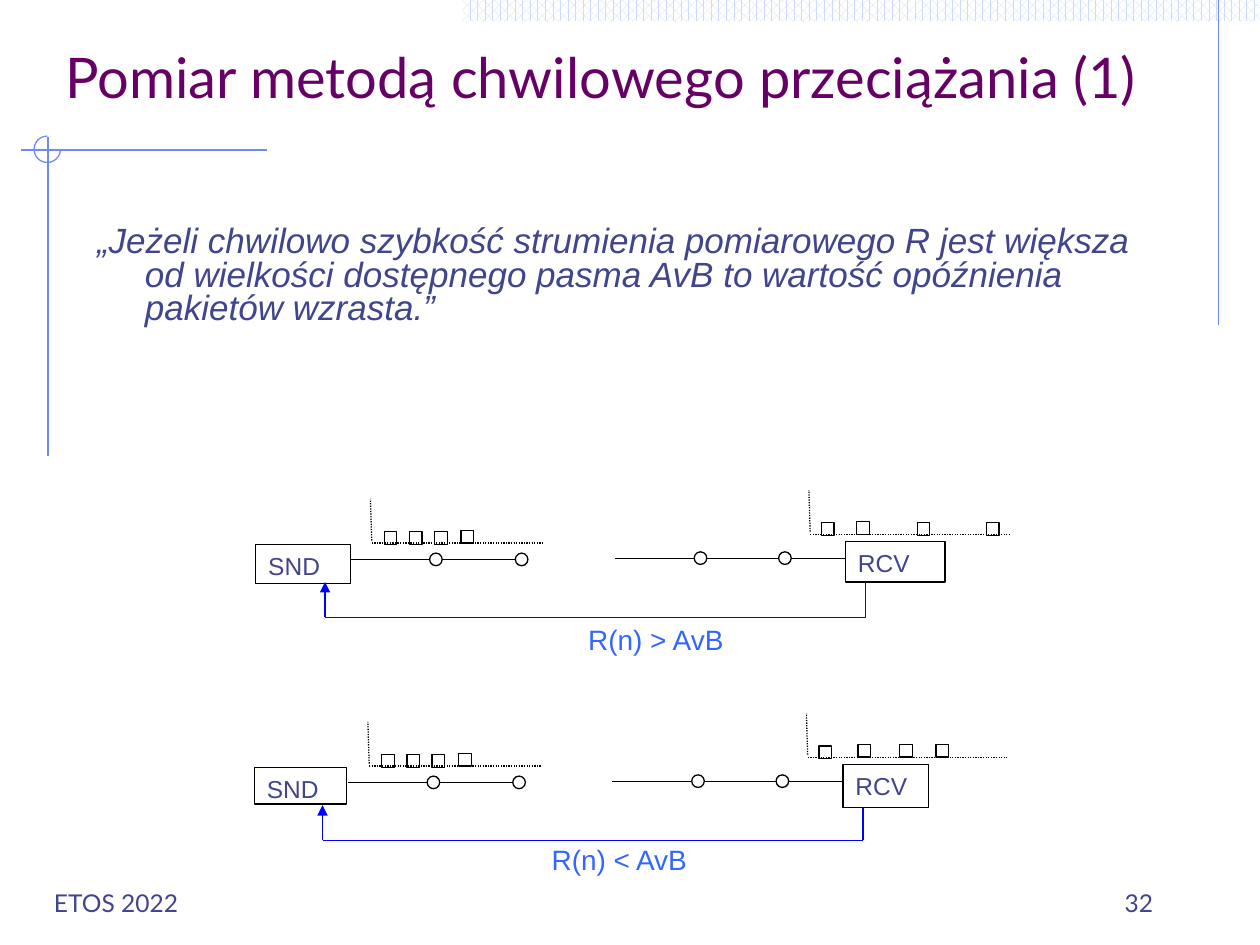
from dataclasses import dataclass

import pptx
import pptx.dml.color
import pptx.enum.dml
import pptx.enum.shapes
import pptx.enum.text
import pptx.oxml
import pptx.oxml.ns
import pptx.util

Inches = pptx.util.Inches
Pt = pptx.util.Pt
Shape = pptx.enum.shapes.MSO_SHAPE
Anchor = pptx.enum.text.MSO_ANCHOR
Align = pptx.enum.text.PP_ALIGN
Bounds = tuple[float, float, float, float]
Point = tuple[float, float]


@dataclass(frozen=True)
class Theme:
    title: str = "660066"
    text: str = "40458C"
    caption: str = "3366FF"
    rule: str = "6F89F7"
    pattern: str = "CFDBFD"
    paper: str = "FFFFFF"
    ink: str = "000000"
    feedback: str = "0000FF"
    heading_font: str = "Lato"
    body_font: str = "Arial"
    title_size: int = 32
    body_size: int = 20
    caption_size: int = 16
    label_size: int = 14
    line_width: float = 0.75


@dataclass(frozen=True)
class Scenario:
    """One sender-receiver diagram; boxes are absolute, the rest is shifted."""
    shift: Point
    sender: Bounds
    receiver: Bounds
    received: tuple[Point, ...]
    caption: str
    caption_box: Bounds


THEME = Theme()
MARK = 0.1  # size of a packet or a network node
SENT_PACKETS = ((3.05, 4.22), (3.25, 4.22), (3.45, 4.22), (3.66, 4.21))
SCENARIOS = (
    Scenario((0, 0), (2.03, 4.32, 0.75, 0.31), (6.71, 4.3, 0.79, 0.32),
             ((6.52, 4.15), (6.8, 4.14), (7.28, 4.15), (7.83, 4.15)),
             "R(n) > AvB", (4.57, 4.89, 1.68, 0.45)),
    Scenario((-0.02, 1.77), (2.02, 6.09, 0.73, 0.29), (6.69, 6.07, 0.68, 0.34),
             ((6.52, 4.15), (6.83, 4.14), (7.16, 4.14), (7.45, 4.14)),
             "R(n) < AvB", (4.28, 6.64, 1.39, 0.39)),
)


def color(value: str):
    return pptx.dml.color.RGBColor.from_string(value)


def place(shape, bounds: Bounds) -> None:
    shape.left, shape.top, shape.width, shape.height = map(Inches, bounds)


def write(shape, text: str, size: int, font: str, ink: str,
          anchor=Anchor.TOP, align=Align.LEFT, italic: bool = False):
    frame = shape.text_frame
    frame.text = text
    frame.word_wrap = True
    frame.auto_size = pptx.enum.text.MSO_AUTO_SIZE.NONE
    frame.vertical_anchor = anchor
    para = frame.paragraphs[0]
    para.alignment = align
    span = para.runs[0]
    span.font.size = Pt(size)
    span.font.name = font
    span.font.italic = italic
    span.font.color.rgb = color(ink)
    return para


def add_text(page, bounds: Bounds, text: str, size: int, font: str, ink: str,
             anchor=Anchor.TOP, align=Align.LEFT) -> None:
    box = page.shapes.add_textbox(*map(Inches, bounds))
    write(box, text, size, font, ink, anchor, align)


def add_line(page, start: Point, end: Point, ink: str,
             dotted: bool = False, arrow: bool = False) -> None:
    line = page.shapes.add_connector(
        pptx.enum.shapes.MSO_CONNECTOR.STRAIGHT, *map(Inches, start + end))
    line.line.color.rgb = color(ink)
    line.line.width = Pt(THEME.line_width)
    if dotted:
        line.line.dash_style = pptx.enum.dml.MSO_LINE.ROUND_DOT
    if arrow:
        head = pptx.oxml.parse_xml(
            f'<a:tailEnd {pptx.oxml.ns.nsdecls("a")} type="triangle"/>')
        line.line._get_or_add_ln().append(head)
    line._element.spPr.append(
        pptx.oxml.parse_xml(f'<a:effectLst {pptx.oxml.ns.nsdecls("a")}/>'))


def add_outlined(page, kind, bounds: Bounds, ink: str = THEME.ink):
    shape = page.shapes.add_shape(kind, *map(Inches, bounds))
    shape.shadow.inherit = False
    shape.fill.solid()
    shape.fill.fore_color.rgb = color(THEME.paper)
    shape.line.color.rgb = color(ink)
    shape.line.width = Pt(THEME.line_width)
    return shape


def add_host(page, bounds: Bounds, name: str) -> None:
    host = add_outlined(page, Shape.RECTANGLE, bounds)
    write(host, name, THEME.label_size, THEME.body_font, THEME.text)


def draw_decoration(page) -> None:
    band = add_outlined(page, Shape.RECTANGLE, (3.67, 0, 6.33, 0.17))
    band.fill.patterned()
    band.fill.pattern = pptx.enum.dml.MSO_PATTERN.PERCENT_60
    band.fill.fore_color.rgb = color(THEME.pattern)
    band.fill.back_color.rgb = color(THEME.paper)
    band.line.fill.background()
    add_line(page, (9.67, 0), (9.67, 2.58), THEME.rule)
    add_line(page, (2.12, 1.19), (0.17, 1.19), THEME.rule)
    add_line(page, (0.38, 1.09), (0.38, 3.62), THEME.rule)
    arc = add_outlined(page, Shape.ARC, (0.27, 1.08, 0.21, 0.21), THEME.rule)
    arc.fill.background()
    arc.adjustments[0] = 0
    arc.adjustments[1] = 162  # 270 degrees, in units of 100000/60000 degree


def draw_scenario(page, scenario: Scenario) -> None:
    def at(x: float, y: float) -> Point:
        return x + scenario.shift[0], y + scenario.shift[1]

    def add_mark(kind, x: float, y: float) -> None:
        add_outlined(page, kind, at(x, y) + (MARK, MARK))

    def add_link(start: float, nodes: tuple[float, ...], y: float) -> float:
        """Joins the nodes by line segments and returns the last right edge."""
        for left in nodes:
            add_line(page, at(start, y), at(left, y), THEME.ink)
            add_mark(Shape.OVAL, left, y - MARK / 2)
            start = left + MARK
        return start

    def add_axes(x: float, y: float, length: float) -> None:
        add_line(page, at(x, y), at(x + length, y), THEME.ink, dotted=True)
        add_line(page, at(x, y - 0.02), at(x - 0.01, y - 0.35), THEME.ink, dotted=True)

    add_host(page, scenario.sender, "SND")
    add_host(page, scenario.receiver, "RCV")
    add_link(2.78, (3.41, 4.09), 4.44)
    last_edge = add_link(4.88, (5.51, 6.18), 4.43)
    add_line(page, at(last_edge, 4.43), at(6.71, 4.43), THEME.ink)

    receiver_bottom = scenario.receiver[1] + scenario.receiver[3]
    right_corner, left_corner = at(6.87, 4.9), at(2.58, 4.9)
    add_line(page, (right_corner[0], receiver_bottom), right_corner, THEME.feedback)
    add_line(page, right_corner, left_corner, THEME.feedback)
    add_line(page, left_corner, at(2.58, 4.62), THEME.feedback, arrow=True)

    for packet in SENT_PACKETS + scenario.received:
        add_mark(Shape.RECTANGLE, *packet)
    add_axes(2.95, 4.31, 1.36)
    add_axes(6.43, 4.24, 1.58)
    add_text(page, scenario.caption_box, scenario.caption,
             THEME.caption_size, THEME.body_font, THEME.caption)


def fill_placeholders(page) -> None:
    title, body = page.shapes.title, page.placeholders[1]
    place(title, (0.42, 0.25, 9, 0.67))
    write(title, "Pomiar metodą chwilowego przeciążania (1)", THEME.title_size,
          THEME.heading_font, THEME.title, Anchor.BOTTOM)
    place(body, (0.67, 1.42, 8.42, 1.5))
    para = write(body, "„Jeżeli chwilowo szybkość strumienia pomiarowego R jest większa "
                 "od wielkości dostępnego pasma AvB to wartość opóźnienia pakietów wzrasta.”",
                 THEME.body_size, THEME.body_font, THEME.text, italic=True)
    body.text_frame.margin_top = Inches(0.38)
    para.line_spacing = 0.8
    para.space_before = Pt(0)
    properties = para._p.get_or_add_pPr()
    properties.set("marL", str(Inches(0.38)))
    properties.set("indent", str(Inches(-0.38)))
    properties.append(pptx.oxml.parse_xml(f'<a:buNone {pptx.oxml.ns.nsdecls("a")}/>'))


def main() -> None:
    deck = pptx.Presentation()
    deck.slide_width, deck.slide_height = Inches(10), Inches(7.5)
    page = deck.slides.add_slide(deck.slide_layouts[1])
    draw_decoration(page)
    fill_placeholders(page)
    for left, text, align in ((0.33, "ETOS 2022", Align.LEFT), (7.17, "32", Align.RIGHT)):
        add_text(page, (left, 6.83, 2.08, 0.5), text, THEME.label_size,
                 THEME.heading_font, THEME.text, Anchor.BOTTOM, align)
    for scenario in SCENARIOS:
        draw_scenario(page, scenario)
    deck.save("out.pptx")


if __name__ == "__main__":
    main()
